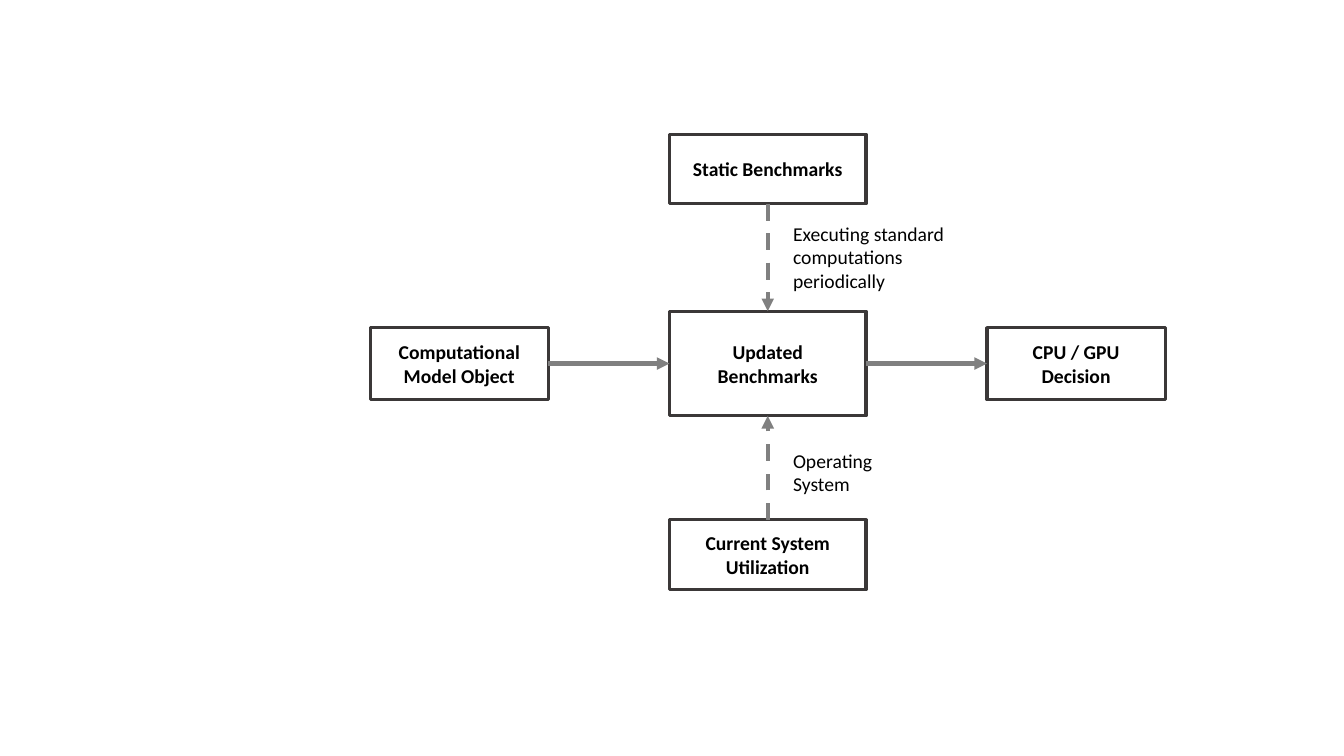
"""Build a slide showing how benchmarks feed the CPU / GPU decision."""
import collections

import pptx
import pptx.dml.color
import pptx.enum.dml
import pptx.enum.shapes
import pptx.enum.text
import pptx.oxml
import pptx.oxml.ns
import pptx.util

Pt = pptx.util.Pt
Color = pptx.dml.color.RGBColor.from_string
Theme = collections.namedtuple("Theme", "font size text fill outline arrow outline_width arrow_width")
theme = Theme("Calibri", Pt(14), Color("000000"), Color("FFFFFF"), Color("3B3838"),
              Color("808080"), Pt(2.25), Pt(3))


def write_text(shape, lines, bold, alignment):
    """Fill a shape with one paragraph per line."""
    frame = shape.text_frame
    frame.word_wrap = True
    frame.text = "\n".join(lines)
    for para in frame.paragraphs:
        para.alignment = alignment
        para.font.name = theme.font
        para.font.size = theme.size
        para.font.bold = bold
        para.font.color.rgb = theme.text


deck = pptx.Presentation()
deck.slide_width, deck.slide_height = Pt(960), Pt(540)
page = deck.slides.add_slide(deck.slide_layouts[6])

center_x, center_y = 548.4, 259.7
side_offset = 220.3
boxes = {}
for name, middle_x, middle_y, width, height, lines in [
    ("model", center_x - side_offset, center_y, 127.4, 51.4, ["Computational Model Object"]),
    ("updated", center_x, center_y, 140.4, 74.8, ["Updated", "Benchmarks"]),
    ("static", center_x, 120.7, 140.4, 49.8, ["Static Benchmarks"]),
    ("current", center_x, 396.2, 140.4, 49.8, ["Current System Utilization"]),
    ("decision", center_x + side_offset, center_y, 127.4, 51.4, ["CPU / GPU", "Decision"]),
]:
    box = page.shapes.add_shape(
        pptx.enum.shapes.MSO_SHAPE.RECTANGLE,
        Pt(middle_x - width / 2), Pt(middle_y - height / 2), Pt(width), Pt(height))
    box.shadow.inherit = False
    box.fill.solid()
    box.fill.fore_color.rgb = theme.fill
    box.line.color.rgb = theme.outline
    box.line.width = theme.outline_width
    box.text_frame.vertical_anchor = pptx.enum.text.MSO_ANCHOR.MIDDLE
    write_text(box, lines, True, pptx.enum.text.PP_ALIGN.CENTER)
    boxes[name] = box

top, left, bottom, right = range(4)
for source, source_side, target, target_side, dashed in [
    ("model", right, "updated", left, False),
    ("static", bottom, "updated", top, True),
    ("current", top, "updated", bottom, True),
    ("updated", right, "decision", left, False),
]:
    arrow = page.shapes.add_connector(pptx.enum.shapes.MSO_CONNECTOR.STRAIGHT, 0, 0, 0, 0)
    arrow.begin_connect(boxes[source], source_side)
    arrow.end_connect(boxes[target], target_side)
    arrow.line.color.rgb = theme.arrow
    arrow.line.width = theme.arrow_width
    if dashed:
        arrow.line.dash_style = pptx.enum.dml.MSO_LINE.DASH
    properties = arrow.element.spPr
    head = pptx.oxml.parse_xml(f'<a:tailEnd {pptx.oxml.ns.nsdecls("a")} type="triangle"/>')
    properties.find(pptx.oxml.ns.qn("a:ln")).append(head)
    properties.append(pptx.oxml.parse_xml(f'<a:effectLst {pptx.oxml.ns.nsdecls("a")}/>'))

for label_top, width, height, label in [
    (154.8, 128.2, 57.6, "Executing standard computations periodically"),
    (316.8, 93.6, 41, "Operating System"),
]:
    note = page.shapes.add_textbox(Pt(559.4), Pt(label_top), Pt(width), Pt(height))
    write_text(note, [label], False, pptx.enum.text.PP_ALIGN.LEFT)

deck.save("out.pptx")
